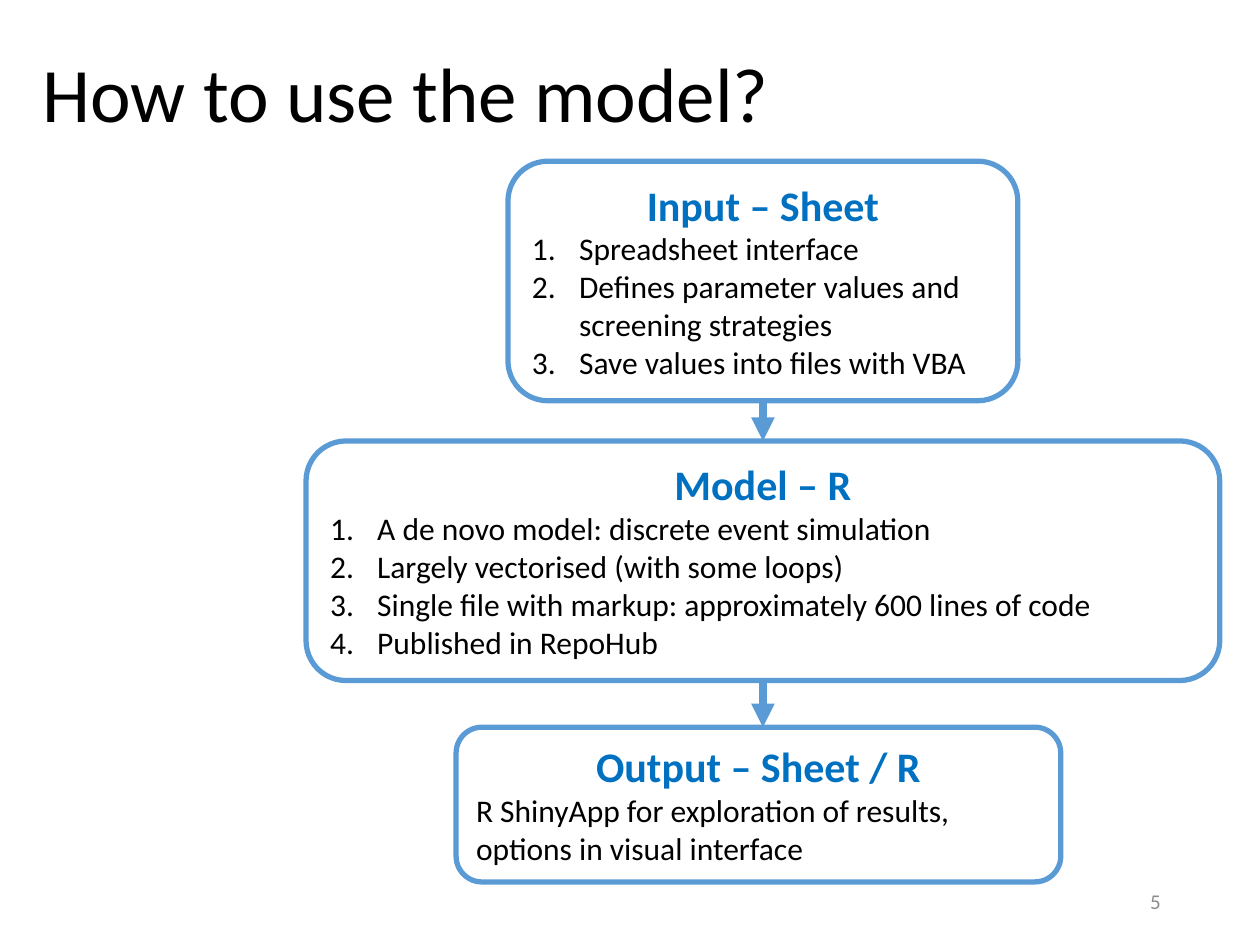
"""Build the slide that shows how data flows through the model."""
from dataclasses import dataclass

from pptx import Presentation, util as u
from pptx.dml.color import RGBColor
from pptx.enum import shapes, text
from pptx.oxml.ns import qn
from lxml import etree


@dataclass(frozen=True)
class Theme:
    font: str = "Calibri"
    ink: str = "000000"
    heading: str = "0070C0"
    outline: str = "5B9BD5"
    paper: str = "FFFFFF"
    muted: str = "8C8C8C"
    title_size: int = 44
    heading_size: int = 24
    body_size: int = 18
    number_size: int = 12
    outline_width: float = 3
    arrow_width: float = 4.5


THEME = Theme()
TITLE = "How to use the model?"
PAGE_NUMBER = "5"
INDENT = 0.95
STAGES = [
    {"heading": "Input – Sheet", "numbered": True,
     "centre": 15.38, "top": 3.25, "width": 10.28, "height": 4.83,
     "lines": ["Spreadsheet interface",
               "Defines parameter values and screening strategies",
               "Save values into files with VBA"]},
    {"heading": "Model – R", "numbered": True,
     "centre": 15.38, "top": 8.89, "width": 18.42, "height": 4.83,
     "lines": ["A de novo model: discrete event simulation",
               "Largely vectorised (with some loops)",
               "Single file with markup: approximately 600 lines of code",
               "Published in RepoHub"]},
    {"heading": "Output – Sheet / R", "numbered": False,
     "centre": 15.29, "top": 14.66, "width": 12.19, "height": 3.12,
     "lines": ["R ShinyApp for exploration of results, options in visual interface"]},
]


def write(paragraph, content, *, size, color=THEME.ink, bold=False,
          align=text.PP_ALIGN.LEFT, numbered=False, spacing=None):
    paragraph.alignment = align
    if spacing:
        paragraph.line_spacing = spacing
    if numbered:
        properties = paragraph._p.get_or_add_pPr()
        properties.set("marL", str(u.Cm(INDENT)))
        properties.set("indent", str(-u.Cm(INDENT)))
        etree.SubElement(properties, qn("a:buFont"), typeface="+mj-lt")
        etree.SubElement(properties, qn("a:buAutoNum"), type="arabicPeriod")
    run = paragraph.add_run()
    run.text = content
    run.font.name = THEME.font
    run.font.size = u.Pt(size)
    run.font.bold = bold
    run.font.color.rgb = RGBColor.from_string(color)


def add_label(slide, content, left, top, width, height, **style):
    frame = slide.shapes.add_textbox(*map(u.Cm, (left, top, width, height))).text_frame
    frame.word_wrap = True
    frame.vertical_anchor = text.MSO_ANCHOR.MIDDLE
    write(frame.paragraphs[0], content, **style)


def add_stage(slide, stage):
    left = stage["centre"] - stage["width"] / 2
    shape = slide.shapes.add_shape(
        shapes.MSO_SHAPE.ROUNDED_RECTANGLE, u.Cm(left), u.Cm(stage["top"]),
        u.Cm(stage["width"]), u.Cm(stage["height"]))
    shape.shadow.inherit = False
    shape.fill.solid()
    shape.fill.fore_color.rgb = RGBColor.from_string(THEME.paper)
    shape.line.color.rgb = RGBColor.from_string(THEME.outline)
    shape.line.width = u.Pt(THEME.outline_width)
    frame = shape.text_frame
    frame.word_wrap = True
    frame.auto_size = text.MSO_AUTO_SIZE.SHAPE_TO_FIT_TEXT
    frame.vertical_anchor = text.MSO_ANCHOR.TOP
    write(frame.paragraphs[0], stage["heading"], size=THEME.heading_size,
          color=THEME.heading, bold=True, align=text.PP_ALIGN.CENTER)
    for line in stage["lines"]:
        write(frame.add_paragraph(), line, size=THEME.body_size,
              numbered=stage["numbered"])
    return shape


def add_arrow(slide, upper, lower):
    middle = upper.left + upper.width // 2
    connector = slide.shapes.add_connector(
        shapes.MSO_CONNECTOR.STRAIGHT, middle, upper.top + upper.height,
        middle, lower.top)
    connector.begin_connect(upper, 2)
    if abs(lower.left + lower.width // 2 - middle) < u.Cm(0.02):
        connector.end_connect(lower, 0)
    connector.line.color.rgb = RGBColor.from_string(THEME.outline)
    connector.line.width = u.Pt(THEME.arrow_width)
    etree.SubElement(connector.line._get_or_add_ln(), qn("a:tailEnd"), type="triangle")
    etree.SubElement(connector._element.spPr, qn("a:effectLst"))


def main():
    presentation = Presentation()
    presentation.slide_width, presentation.slide_height = u.Cm(25.4), u.Cm(19.05)
    slide = presentation.slides.add_slide(presentation.slide_layouts[6])
    add_label(slide, TITLE, 0.61, 0.13, 18.24, 3.68, size=THEME.title_size, spacing=0.9)
    add_label(slide, PAGE_NUMBER, 17.93, 17.65, 5.72, 1.02, size=THEME.number_size,
              color=THEME.muted, align=text.PP_ALIGN.RIGHT)
    boxes = [add_stage(slide, stage) for stage in STAGES]
    for upper, lower in zip(boxes, boxes[1:]):
        add_arrow(slide, upper, lower)
    presentation.save("out.pptx")


if __name__ == "__main__":
    main()
